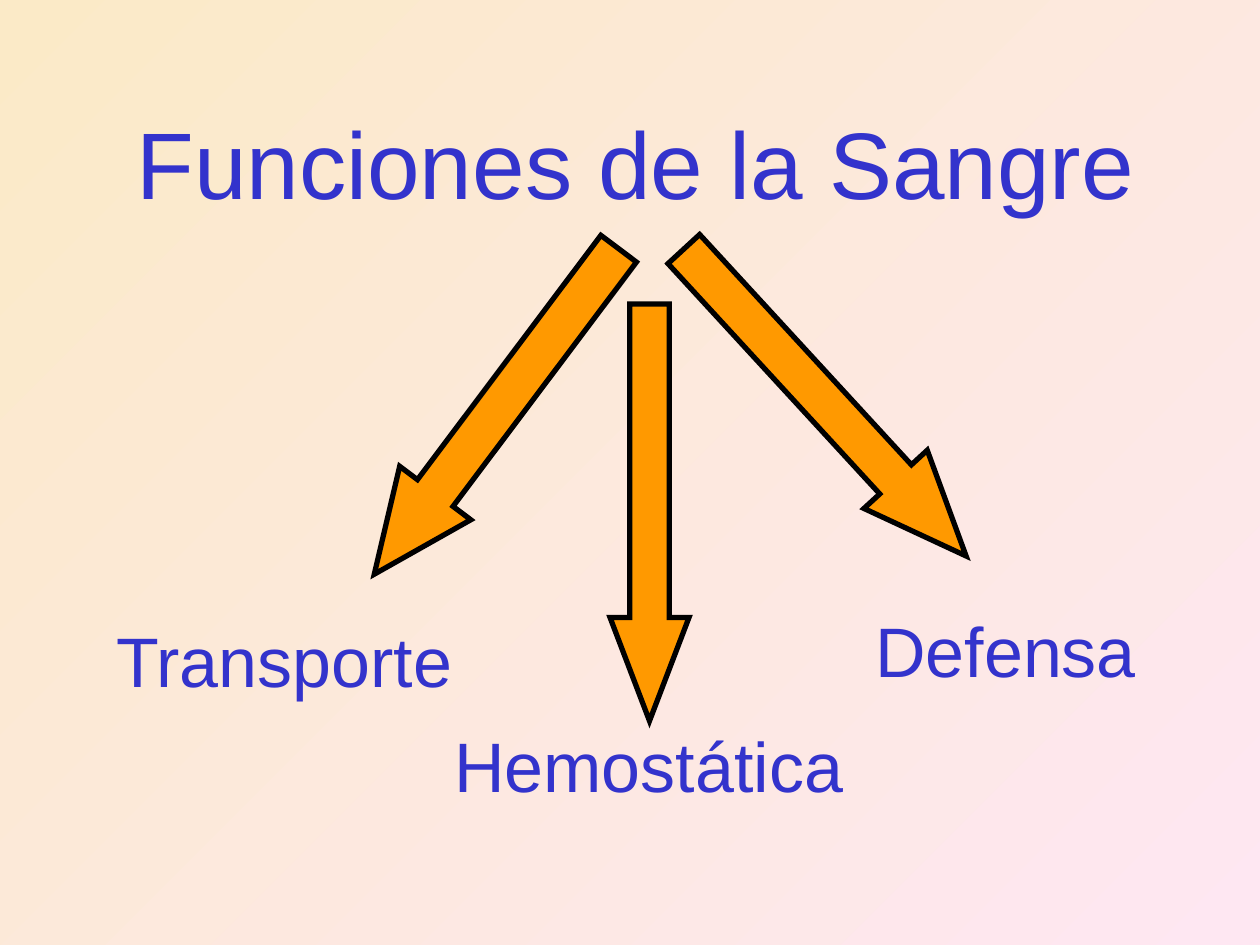
from lxml import etree
from pptx import Presentation
from pptx.dml.color import RGBColor
from pptx.enum.shapes import MSO_SHAPE
from pptx.enum.text import MSO_AUTO_SIZE
from pptx.oxml.ns import qn
from pptx.util import Pt

DOWN = MSO_SHAPE.DOWN_ARROW
GROW = MSO_AUTO_SIZE.SHAPE_TO_FIT_TEXT
BLUE = RGBColor(0x33, 0x33, 0xCC)
ORANGE = RGBColor(0xFF, 0x99, 0x00)
BLACK = RGBColor(0, 0, 0)
PINK = RGBColor(0xFE, 0xE7, 0xF2)
CREAM = RGBColor(0xFB, 0xEA, 0xC7)
SCALE = 914400 / 126


def emu(*px):
    return [round(n * SCALE) for n in px]


class Board:
    font = "Arial"

    def __init__(self, deck):
        self.slide = deck.slides.add_slide(deck.slide_layouts[6])

    def paint(self, start, end, angle):
        fill = self.slide.background.fill
        fill.gradient()
        fill.gradient_angle = angle
        for stop, color in zip(fill.gradient_stops, (start, end)):
            stop.color.rgb = color

    def label(self, text, box, size=40):
        frame = self.slide.shapes.add_textbox(*emu(*box)).text_frame
        frame.word_wrap = False
        frame.auto_size = GROW
        para = frame.paragraphs[0]
        para.text = text
        para.font.name = self.font
        para.font.size = Pt(size)
        para.font.color.rgb = BLUE

    def arrow(self, box, head, turn=0):
        shape = self.slide.shapes.add_shape(DOWN, *emu(*box))
        shape.shadow.inherit = False
        shape.adjustments[0] = 0.5
        shape.adjustments[1] = head
        shape.rotation = turn
        shape.fill.solid()
        shape.fill.fore_color.rgb = ORANGE
        shape.line.color.rgb = BLACK
        shape.line.width = Pt(3)
        line = shape.element.spPr.find(qn("a:ln"))
        etree.SubElement(line, qn("a:miter"), lim="800000")


def main():
    deck = Presentation()
    deck.slide_width, deck.slide_height = emu(1260, 945)
    board = Board(deck)
    board.paint(PINK, CREAM, 135)
    board.label("Funciones de la Sangre", (124, 99, 1024, 126), 54)
    board.label("Transporte", (104, 611, 364, 97))
    board.label("Defensa", (863, 601, 289, 97))
    board.arrow((452, 208, 89, 407), 1.14, 36.9)
    board.arrow((782, 194, 86, 417), 1.21, 317.4)
    board.label("Hemostática", (442, 716, 417, 97))
    board.arrow((610, 304, 79, 417), 1.31)
    deck.save("out.pptx")


if __name__ == "__main__":
    main()
